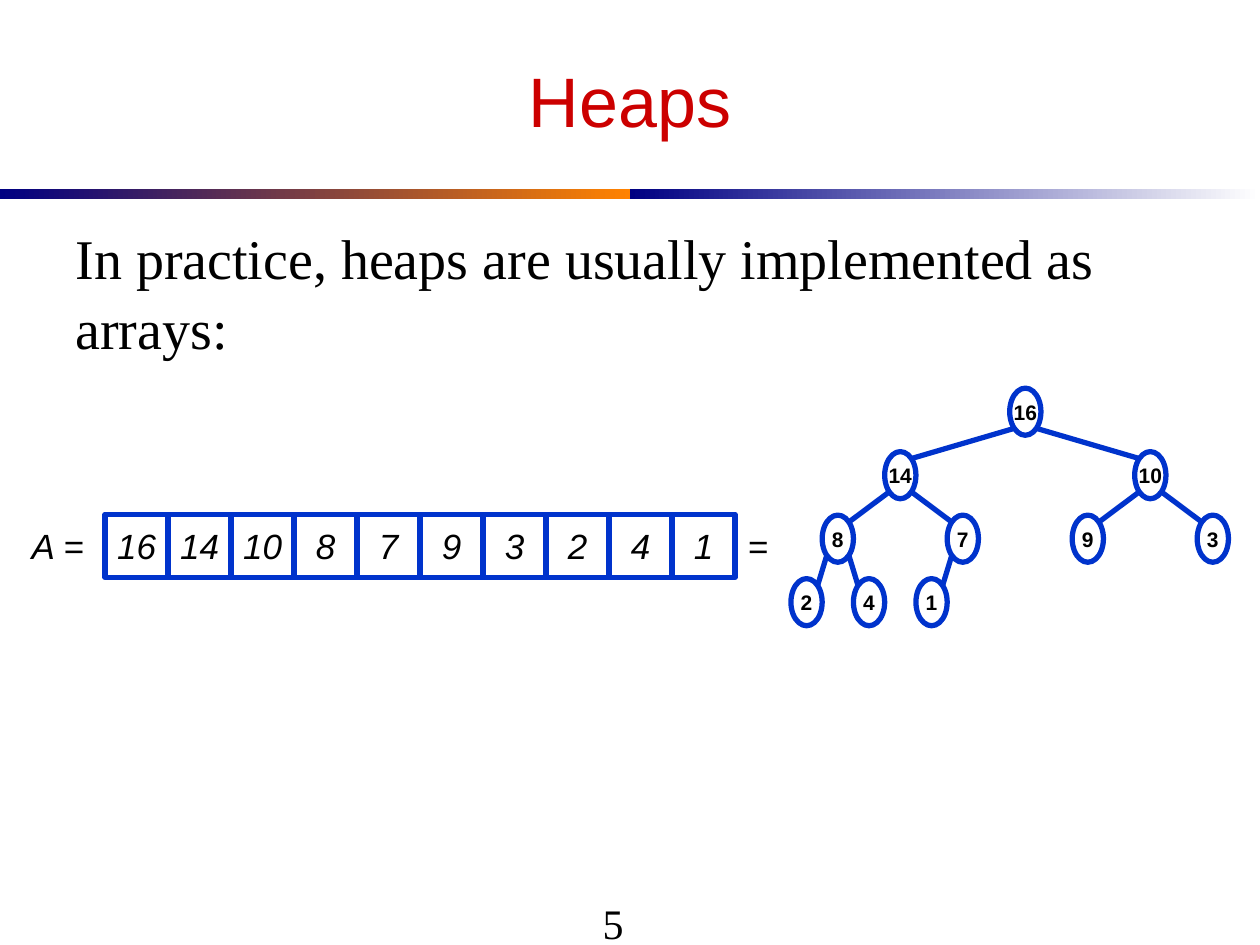
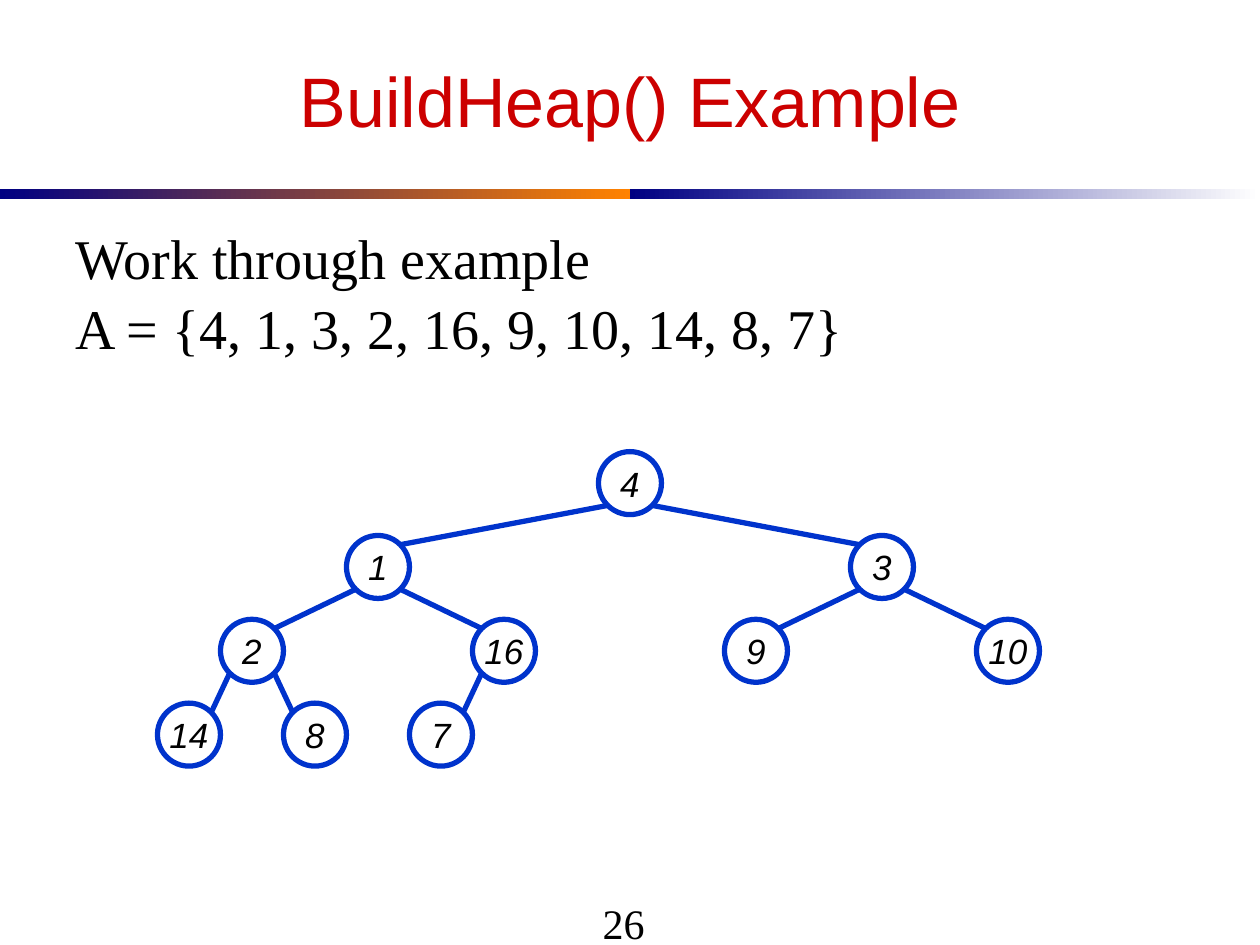
from lxml import etree
from pptx import Presentation
from pptx.dml.color import RGBColor
from pptx.enum.shapes import MSO_CONNECTOR, MSO_SHAPE
from pptx.enum.text import MSO_ANCHOR, PP_ALIGN
from pptx.oxml.ns import qn
from pptx.util import Cm, Pt

RECT, OVAL = MSO_SHAPE.RECTANGLE, MSO_SHAPE.OVAL
STRAIGHT = MSO_CONNECTOR.STRAIGHT
TOP, MIDDLE = MSO_ANCHOR.TOP, MSO_ANCHOR.MIDDLE
LEFT, CENTER = PP_ALIGN.LEFT, PP_ALIGN.CENTER
TITLE_ONLY = 5
SANS, SERIF = "Arial", "Times New Roman"
COLORS = {"title": "CC0000", "text": "000000", "outline": "0033CC",
          "node": "FFFFFF", "navy": "000082", "orange": "FF8200",
          "white": "FFFFFF"}
DIAGONAL = 0.5 ** 0.5
CELL = 1.27
ARRAY_TOP = 10.37


def rgb(name):
    return RGBColor.from_string(COLORS[name])


def write(tf, text, *, size=20, font=SANS, color="text", bold=False,
          italic=False, align=CENTER, anchor=MIDDLE, wrap=False, spacing=1.0):
    tf.word_wrap = wrap
    tf.vertical_anchor = anchor
    p = tf.paragraphs[0]
    p.text = text
    p.alignment = align
    p.line_spacing = spacing
    for r in p.runs:
        r.font.size = Pt(size)
        r.font.name = font
        r.font.bold = bold
        r.font.italic = italic
        r.font.color.rgb = rgb(color)


def add_label(s, text, x, y, w, h, **style):
    sp = s.shapes.add_textbox(Cm(x), Cm(y), Cm(w), Cm(h))
    write(sp.text_frame, text, **style)


def add_box(s, kind, text, x, y, w, h, **style):
    sp = s.shapes.add_shape(kind, Cm(x), Cm(y), Cm(w), Cm(h))
    sp.shadow.inherit = False
    sp.fill.solid()
    sp.fill.fore_color.rgb = rgb("node")
    sp.line.color.rgb = rgb("outline")
    sp.line.width = Pt(3)
    write(sp.text_frame, text, **style)


def add_edge(s, x1, y1, x2, y2):
    con = s.shapes.add_connector(STRAIGHT, Cm(x1), Cm(y1), Cm(x2), Cm(y2))
    con.line.color.rgb = rgb("outline")
    con.line.width = Pt(3)
    etree.SubElement(con.element.spPr, qn("a:effectLst"))


def add_bands(s, layout):
    for x, end in ((0, "orange"), (12.7, "white")):
        sp = s.shapes.add_shape(RECT, Cm(x), Cm(3.81), Cm(12.7), Cm(0.2))
        sp.shadow.inherit = False
        sp.line.fill.background()
        sp.fill.gradient()
        sp.fill.gradient_angle = 0
        for stop, color in zip(sp.fill.gradient_stops, ("navy", end)):
            stop.color.rgb = rgb(color)
        layout.shapes.element.append(sp.element)


def add_slide(prs, title, body, number):
    s = prs.slides.add_slide(prs.slide_layouts[TITLE_ONLY])
    sp = s.shapes.title
    sp.left, sp.top, sp.width, sp.height = Cm(1.27), Cm(0.64), Cm(22.86), Cm(2.74)
    write(sp.text_frame, title, size=40, color="title", wrap=True)
    add_label(s, body, 1.27, 4.32, 22.86, 12.0, size=32, font=SERIF,
              align=LEFT, anchor=TOP, wrap=True, spacing=1.04)
    add_label(s, number, 11.9, 17.48, 2.54, 2.26, size=24, font=SERIF,
              align=LEFT, wrap=True)
    return s


def add_array(s, values, x):
    for i, value in enumerate(values):
        add_box(s, RECT, str(value), x + i * CELL, ARRAY_TOP, CELL, CELL,
                italic=True)


def add_heap(s, values, root_x, root_y, w, h, spread, pitch, **style):
    centers = [(root_x, root_y)]
    for i in range(1, len(values)):
        x, y = centers[(i - 1) // 2]
        depth = (i + 1).bit_length() - 2
        side = -1 if i % 2 else 1
        centers.append((x + side * spread / 2 ** depth, y + pitch))
    for value, (x, y) in zip(values, centers):
        add_box(s, OVAL, str(value), x - w / 2, y - h / 2, w, h, **style)
    dx, dy = w / 2 * DIAGONAL, h / 2 * DIAGONAL
    for i in range(1, len(values)):
        (px, py), (x, y) = centers[(i - 1) // 2], centers[i]
        side = -1 if i % 2 else 1
        add_edge(s, px + side * dx, py + dy, x - side * dx, y - dy)


def main():
    prs = Presentation()
    prs.slide_width, prs.slide_height = Cm(25.4), Cm(19.05)

    heap = [16, 14, 10, 8, 7, 9, 3, 2, 4, 1]
    s = add_slide(prs, "Heaps",
                  "In practice, heaps are usually implemented as arrays:", "5")
    add_bands(s, prs.slide_layouts[TITLE_ONLY])
    add_heap(s, heap, 20.67, 8.3, 0.63, 0.95, 2.52, 1.28, size=12, bold=True)
    add_array(s, heap, 2.12)
    add_label(s, "A =", 0.21, ARRAY_TOP, 1.91, CELL, italic=True)
    add_label(s, "=", 14.82, ARRAY_TOP, 0.85, CELL, italic=True)

    unsorted = [4, 1, 3, 2, 16, 9, 10, 14, 8, 7]
    listing = ", ".join(map(str, unsorted))
    s = add_slide(prs, "BuildHeap() Example",
                  f"Work through example\nA = {{{listing}}}", "26")
    add_heap(s, unsorted, 12.7, 9.74, 1.27, 1.27, 5.08, 1.69, italic=True)

    prs.save("out.pptx")


if __name__ == "__main__":
    main()
